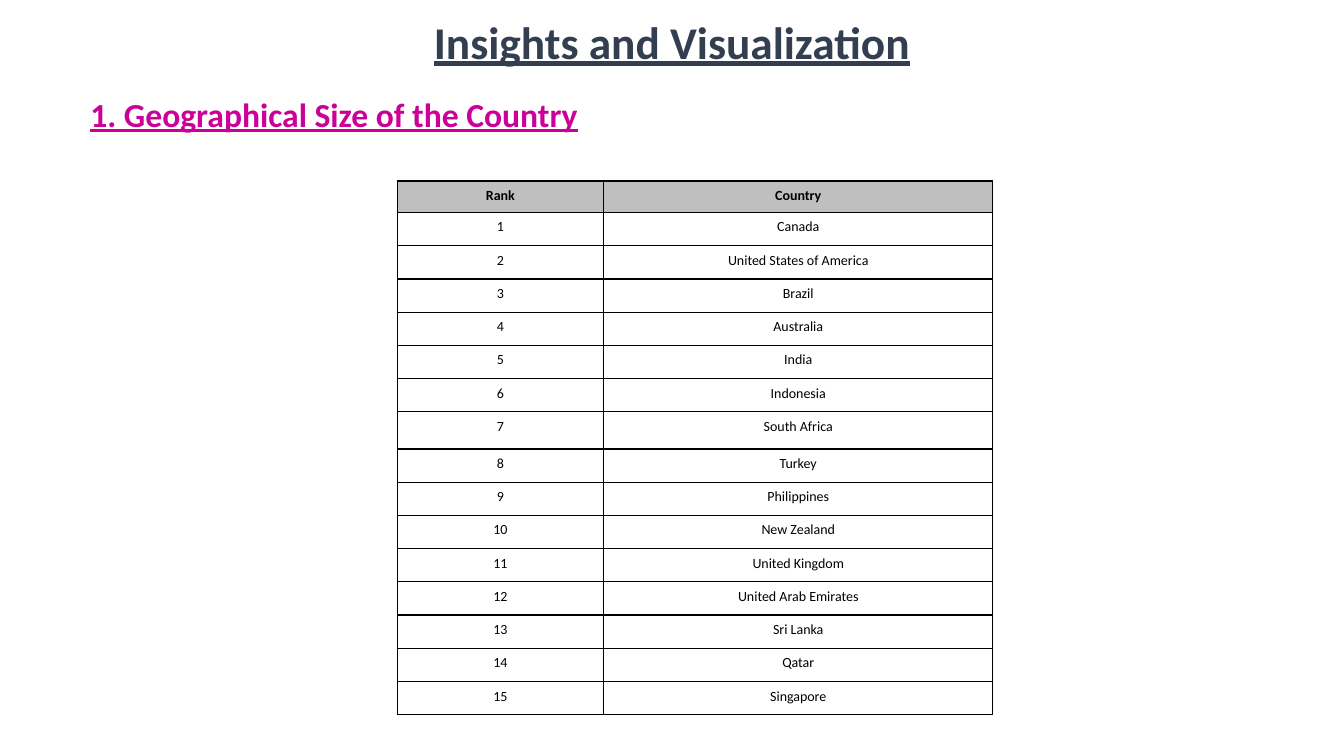
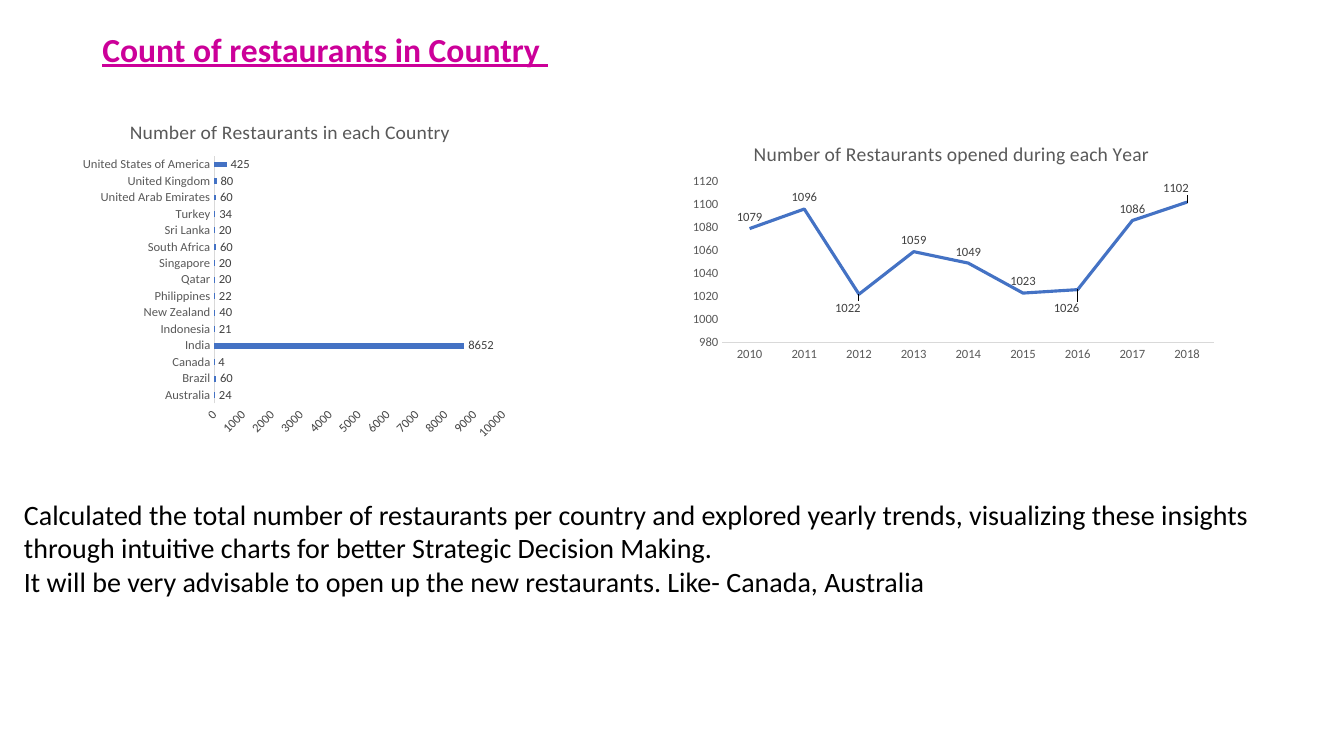
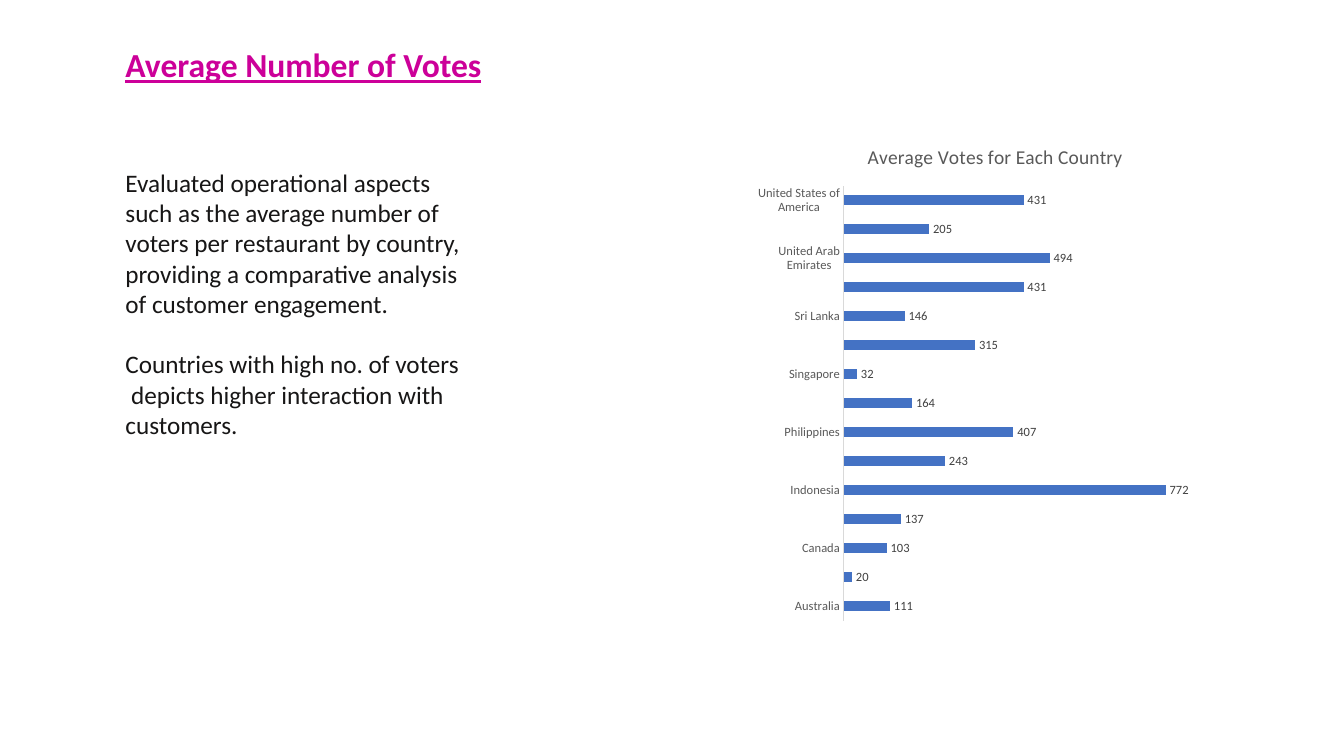
from lxml import etree
from pptx import Presentation
from pptx.chart.data import CategoryChartData
from pptx.dml.color import RGBColor
from pptx.enum import chart as ch, text
from pptx.oxml import parse_xml
from pptx.oxml.ns import qn
from pptx.util import Pt

# Shared style
FONT = "Calibri"
SLATE = RGBColor(0x33, 0x3F, 0x50)
MAGENTA = RGBColor(0xCC, 0x00, 0x99)
BLACK = RGBColor(0, 0, 0)
INK = RGBColor(0x17, 0x16, 0x16)
HEADER_GREY = RGBColor(0xBF, 0xBF, 0xBF)
AXIS_GREY = RGBColor(0x59, 0x59, 0x59)
LABEL_GREY = RGBColor(0x40, 0x40, 0x40)
RULE_GREY = RGBColor(0xD9, 0xD9, 0xD9)
BLUE = RGBColor(0x44, 0x72, 0xC4)
NS_C = "http://schemas.openxmlformats.org/drawingml/2006/chart"
NS_A = "http://schemas.openxmlformats.org/drawingml/2006/main"

# Content
RANKED = ["Canada", "United States of America", "Brazil", "Australia", "India",
          "Indonesia", "South Africa", "Turkey", "Philippines", "New Zealand",
          "United Kingdom", "United Arab Emirates", "Sri Lanka", "Qatar", "Singapore"]
COUNTRIES = sorted(RANKED)
RESTAURANTS = [24, 60, 4, 8652, 21, 40, 22, 20, 20, 60, 20, 34, 60, 80, 425]
VOTES = [111, 20, 103, 137, 772, 243, 407, 164, 32, 315, 146, 431, 494, 205, 431]
YEARS = [str(year) for year in range(2010, 2019)]
OPENED = [1079, 1096, 1022, 1059, 1049, 1023, 1026, 1086, 1102]
# Shift of single labels, as fractions of the chart: point -> (x, y)
MOVED_LABELS = {2: (-0.02, 0.1), 6: (-0.02, 0.12), 8: (-0.02, -0.01)}
COUNT_TEXT = [
    "Calculated the total number of restaurants per country and explored yearly trends, "
    "visualizing these insights through intuitive charts for better Strategic Decision Making.",
    "It will be very advisable to open up the new restaurants. Like- Canada, Australia"]
VOTES_TEXT = [
    "Evaluated operational aspects such as the average number of voters per restaurant by "
    "country, providing a comparative analysis of customer engagement.",
    "Countries with high no. of voters  depicts higher interaction with customers."]


def style(font, size, color, bold=False, underline=False):
    font.name, font.size, font.bold = FONT, Pt(size), bold
    font.color.rgb = color
    if underline:
        font.underline = True


def add_text(s, box, paragraphs, size, color, gap=0, heading=False, spacing=None,
             align=text.PP_ALIGN.LEFT):
    tf = s.shapes.add_textbox(*map(Pt, box)).text_frame
    tf.word_wrap = True
    if heading:
        tf.vertical_anchor = text.MSO_ANCHOR.MIDDLE
    for i, line in enumerate(paragraphs):
        p = tf.paragraphs[0] if i == 0 else tf.add_paragraph()
        p.text, p.alignment = line, align
        if spacing:
            p.line_spacing = spacing
        if i:
            p.space_before = Pt(gap)
        style(p.runs[0].font, size, color, heading, heading)


def add_heading(s, box, line, size=24, color=MAGENTA, **kw):
    add_text(s, box, [line], size, color, heading=True, **kw)


def border_cell(cell):
    tc_pr = cell._tc.get_or_add_tcPr()
    for i, side in enumerate(("lnL", "lnR", "lnT", "lnB")):
        tc_pr.insert(i, parse_xml(
            f'<a:{side} xmlns:a="{NS_A}" w="12700"><a:solidFill>'
            f'<a:srgbClr val="{BLACK}"/></a:solidFill></a:{side}>'))


def manual_layout(**parts):
    """Build a c:layout element from its values, in schema order."""
    layout = etree.Element(f"{{{NS_C}}}layout")
    manual = etree.SubElement(layout, f"{{{NS_C}}}manualLayout")
    for tag, val in parts.items():
        etree.SubElement(manual, f"{{{NS_C}}}{tag}").set("val", str(val))
    return layout


def add_chart(s, kind, box, title, cats, vals, plot_area=None):
    data = CategoryChartData()
    data.categories = cats
    data.add_series("Series 1", vals)
    chart = s.shapes.add_chart(kind, *map(Pt, box), data).chart
    style(chart.font, 10, BLACK)
    chart.has_legend = False
    chart.has_title = True
    chart.chart_title.include_in_layout = False
    tf = chart.chart_title.text_frame
    tf.text = title
    style(tf.paragraphs[0].runs[0].font, 14, AXIS_GREY)

    # Axes
    for axis in (chart.category_axis, chart.value_axis):
        axis.has_major_gridlines = False
        axis.major_tick_mark = axis.minor_tick_mark = ch.XL_TICK_MARK.NONE
        style(axis.tick_labels.font, 9, AXIS_GREY)
    chart.category_axis.format.line.color.rgb = RULE_GREY
    chart.category_axis.format.line.width = Pt(0.75)
    chart.value_axis.format.line.fill.background()

    # Series and labels
    plot = chart.plots[0]
    plot.vary_by_categories = False
    series = plot.series[0]
    labels = series.data_labels
    labels.show_value = True
    style(labels.font, 9, LABEL_GREY)
    if kind == ch.XL_CHART_TYPE.LINE:
        series.smooth = False
        series.marker.style = ch.XL_MARKER_STYLE.NONE
        series.format.line.color.rgb = BLUE
        series.format.line.width = Pt(2.25)
        labels.position = ch.XL_LABEL_POSITION.ABOVE
    else:
        plot.gap_width = 182
        series.format.fill.solid()
        series.format.fill.fore_color.rgb = BLUE
        labels.position = ch.XL_LABEL_POSITION.OUTSIDE_END

    if plot_area:
        area = chart._chartSpace.find(f".//{qn('c:plotArea')}")
        for old in area.findall(qn("c:layout")):
            area.remove(old)
        x, y, w, h = plot_area
        area.insert(0, manual_layout(layoutTarget="inner", xMode="edge", yMode="edge",
                                     x=x, y=y, w=w, h=h))
    return chart


def size_slide(prs):
    s = prs.slides.add_slide(prs.slide_layouts[6])
    add_heading(s, (284, 9.5, 392, 44.5), "Insights and Visualization", 32.4, SLATE,
                spacing=0.9, align=text.PP_ALIGN.CENTER)
    add_heading(s, (57.5, 63.5, 438, 36), "1. Geographical Size of the Country")

    rows = [("Rank", "Country")] + [(str(i), c) for i, c in enumerate(RANKED, 1)]
    heights = [23.75] * len(rows)
    heights[0], heights[7] = 22.5, 26.6
    table = s.shapes.add_table(len(rows), 2, Pt(283.7), Pt(129.3), Pt(425.5),
                               Pt(sum(heights))).table
    table.horz_banding = False
    for col, width in zip(table.columns, (147.5, 278)):
        col.width = Pt(width)
    for r, row in enumerate(rows):
        table.rows[r].height = Pt(heights[r])
        for c, value in enumerate(row):
            cell = table.cell(r, c)
            cell.margin_left = cell.margin_right = Pt(4.5)
            cell.margin_top = cell.margin_bottom = Pt(4.5)
            if r == 0:
                cell.fill.solid()
                cell.fill.fore_color.rgb = HEADER_GREY
            else:
                cell.fill.background()
            border_cell(cell)
            p = cell.text_frame.paragraphs[0]
            p.text, p.alignment = value, text.PP_ALIGN.CENTER
            style(p.runs[0].font, 10, BLACK, bold=r == 0)


def count_slide(prs):
    s = prs.slides.add_slide(prs.slide_layouts[6])
    add_heading(s, (66, 18.8, 800, 36), "Count of restaurants in Country ", spacing=0.9)

    bars = add_chart(s, ch.XL_CHART_TYPE.BAR_CLUSTERED, (38, 74, 338.5, 240),
                     "Number of Restaurants in each Country", COUNTRIES, RESTAURANTS,
                     (0.34, 0.16, 0.61, 0.75))
    bars.value_axis.maximum_scale = 10000
    bars.value_axis.major_unit = 1000
    # Slanted value labels
    bars.value_axis._element.find(f".//{qn('a:bodyPr')}").set("rot", "-2700000")

    line = add_chart(s, ch.XL_CHART_TYPE.LINE, (480, 90, 399.5, 180),
                     "Number of Restaurants opened during each Year", YEARS, OPENED,
                     (0.09, 0.22, 0.88, 0.64))
    line.value_axis.minimum_scale, line.value_axis.maximum_scale = 980, 1120
    line.value_axis.major_unit = 20
    for i, (dx, dy) in MOVED_LABELS.items():
        label = line.plots[0].series[0].points[i].data_label
        style(label.font, 9, LABEL_GREY)
        label.position = ch.XL_LABEL_POSITION.ABOVE
        label._dLbl.insert(1, manual_layout(x=dx, y=dy))

    add_text(s, (10, 351.5, 937, 124), COUNT_TEXT, 20, BLACK)


def votes_slide(prs):
    s = prs.slides.add_slide(prs.slide_layouts[6])
    add_heading(s, (82.5, 29, 303, 37.5), "Average Number of Votes", spacing=0.9)
    chart = add_chart(s, ch.XL_CHART_TYPE.BAR_CLUSTERED, (541.5, 88.5, 336, 362),
                      "Average Votes for Each Country", COUNTRIES, VOTES)
    chart.value_axis.visible = False
    add_text(s, (82.5, 116, 254, 247), VOTES_TEXT, 18, INK, gap=21.6)


def main():
    prs = Presentation()
    prs.slide_width, prs.slide_height = Pt(960), Pt(540)
    for build in (size_slide, count_slide, votes_slide):
        build(prs)
    prs.save("out.pptx")


if __name__ == "__main__":
    main()
